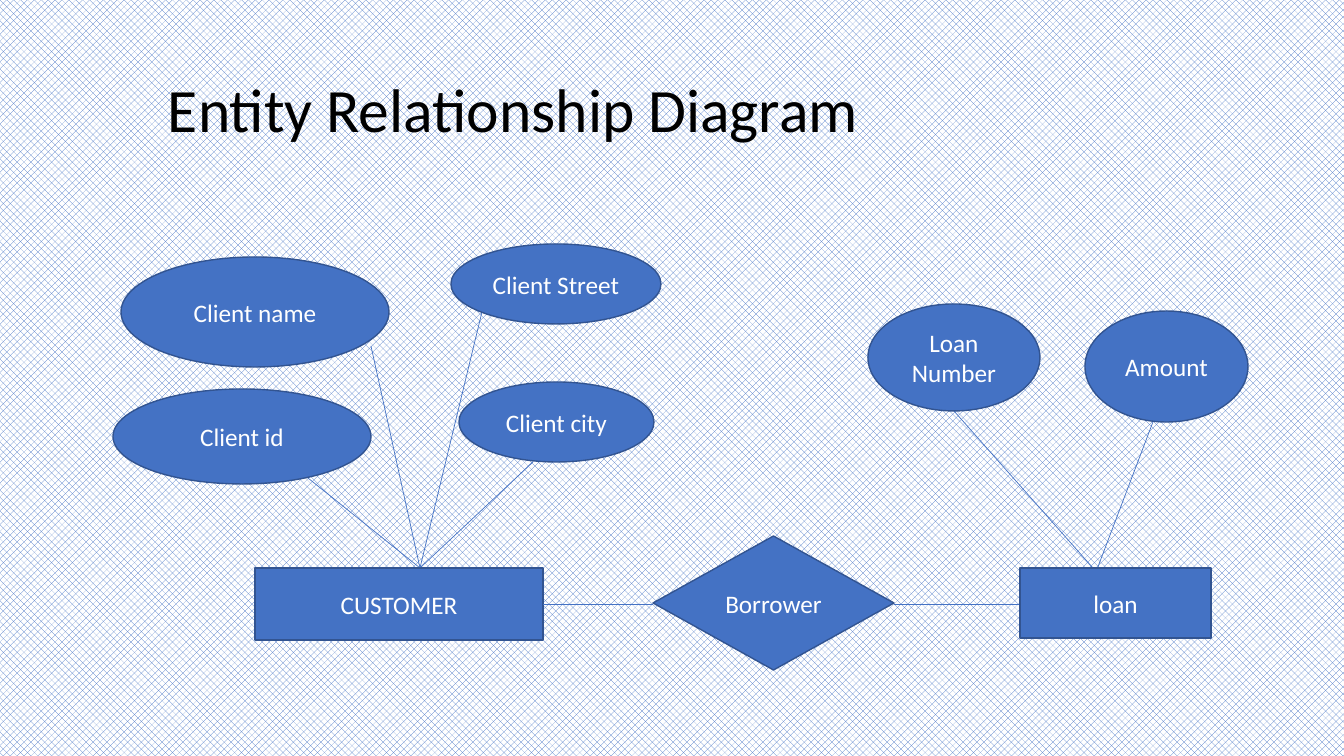
from dataclasses import dataclass

from lxml.etree import SubElement
from pptx import Presentation
from pptx.dml.color import RGBColor as RGB
from pptx.enum.dml import MSO_PATTERN as PATTERN
from pptx.enum.shapes import MSO_CONNECTOR as CONN, MSO_SHAPE as SHAPE
from pptx.enum.text import MSO_ANCHOR as ANCHOR, PP_ALIGN as ALIGN
from pptx.oxml.ns import qn
from pptx.util import Emu, Pt

PX = 914400 / 100.8


@dataclass(frozen=True)
class Theme:
    """Colours, font, type sizes and line widths."""
    blue: RGB = RGB.from_string("4472C4")
    edge: RGB = RGB.from_string("325491")
    white: RGB = RGB.from_string("FFFFFF")
    black: RGB = RGB.from_string("000000")
    font: str = "Calibri"
    title: Pt = Pt(44)
    label: Pt = Pt(18)
    outline: Pt = Pt(1)
    link: Pt = Pt(0.5)


@dataclass(frozen=True)
class Attribute:
    """An attribute oval and the start of its link, within the region."""
    name: str
    oval: tuple
    start: tuple
    drop: int = 0  # how far the link runs below the entity's top edge


T = Theme()


def px(*values):
    """Turn pixels into EMU."""
    return [Emu(round(v * PX)) for v in values]


def within(box, part):
    """Shift a part's left and top by those of its box."""
    return (box[0] + part[0], box[1] + part[1], *part[2:])


def write(tf, text, size, color, align):
    """Fill a text frame with one styled, vertically centred paragraph."""
    tf.word_wrap = True
    tf.vertical_anchor = ANCHOR.MIDDLE
    p = tf.paragraphs[0]
    p.text, p.alignment = text, align
    p.font.name, p.font.size, p.font.color.rgb = T.font, size, color


def node(s, kind, rect, text):
    """Add a labelled diagram shape."""
    sp = s.shapes.add_shape(kind, *px(*rect))
    sp.shadow.inherit = False
    sp.fill.solid()
    sp.fill.fore_color.rgb = T.blue
    sp.line.color.rgb, sp.line.width = T.edge, T.outline
    write(sp.text_frame, text, T.label, T.white, ALIGN.CENTER)


def link(s, start, end):
    """Add a thin straight link between two points."""
    line = s.shapes.add_connector(CONN.STRAIGHT, *px(*start, *end))
    line.line.color.rgb, line.line.width = T.blue, T.link
    SubElement(line._element.spPr, qn("a:effectLst"))


def title(s, box, text):
    """Add the slide title, left-aligned in its box."""
    tf = s.shapes.add_textbox(*px(*box)).text_frame
    tf.margin_left = tf.margin_right = 0
    write(tf, text, T.title, T.black, ALIGN.LEFT)
    tf.paragraphs[0].line_spacing = 0.9


def entity(s, box, name, rect, hub_x, attributes):
    """Add an entity with attribute ovals linked to a hub on its top edge."""
    for a in attributes:
        hub = (hub_x, rect[1] + a.drop)
        link(s, within(box, a.start), within(box, hub))
    for a in attributes:
        node(s, SHAPE.OVAL, within(box, a.oval), a.name)
    node(s, SHAPE.RECTANGLE, within(box, rect), name)


def relationship(s, box, name, diamond_x, diamond_w):
    """Add a diamond with links out to both sides of its box."""
    left, top, width, height = box
    middle = top + height / 2 + 1
    x = left + diamond_x
    link(s, (left, middle), (x, middle))
    link(s, (x + diamond_w, middle), (left + width, middle))
    node(s, SHAPE.DIAMOND, (x, top, diamond_w, height), name)


def er_slide(prs):
    """Build the entity relationship slide."""
    s = prs.slides.add_slide(prs.slide_layouts[6])
    fill = s.background.fill
    fill.patterned()
    fill.pattern = PATTERN.PERCENT_50
    fill.fore_color.rgb, fill.back_color.rgb = T.blue, T.white

    title(s, (168, 40, 1080, 146), "Entity Relationship Diagram")
    entity(s, (113, 244), "CUSTOMER", (142, 324, 288, 72), 307, [
        Attribute("Client name", (8, 13, 268, 110), (258, 102)),
        Attribute("Client id", (0, 145, 258, 95), (190, 230)),
        Attribute("Client Street", (338, 0, 210, 80), (369, 68)),
        Attribute("Client city", (346, 138, 195, 80), (420, 218)),
    ])
    relationship(s, (543, 536, 477, 134), "Borrower", 110, 241)
    entity(s, (868, 304), "loan", (152, 264, 191, 70), 225, [
        Attribute("Loan Number", (0, 0, 172, 107), (86, 107)),
        Attribute("Amount", (217, 7, 163, 111), (288, 110), drop=12),
    ])


prs = Presentation()
prs.slide_width, prs.slide_height = px(1344, 756)
er_slide(prs)
prs.save("out.pptx")
